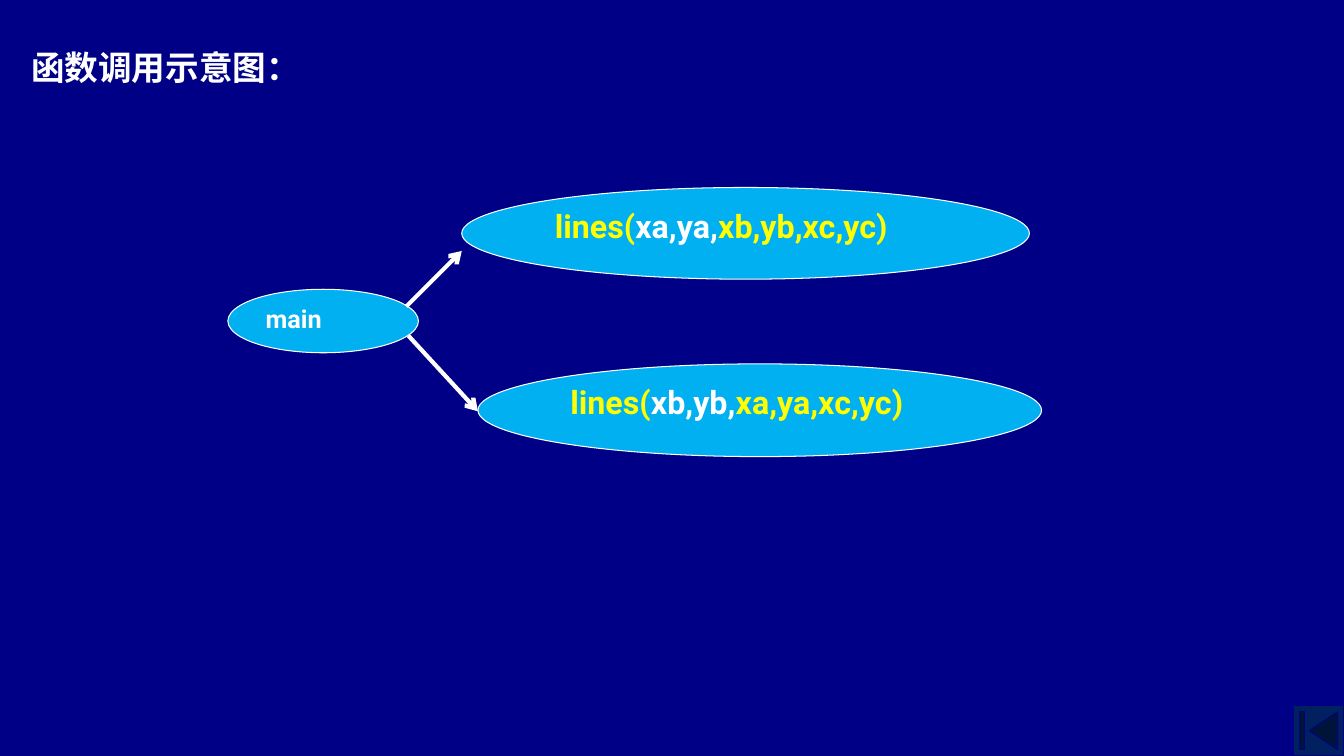
from pptx import Presentation, util as u
from pptx.dml.color import RGBColor
from pptx.enum import shapes, text
from pptx.oxml.ns import qn
from lxml import etree

WHITE, YELLOW, NAVY, SKY = "FFFFFF", "FFFF00", "000086", "00B0F0"


def paint(fmt, color):
    fmt.solid()
    fmt.fore_color.rgb = RGBColor.from_string(color)


def write(tf, runs, size):
    p = tf.paragraphs[0]
    p.alignment = text.PP_ALIGN.LEFT
    for words, color in runs:
        r = p.add_run()
        r.text = words
        for name, value in {"name": "Roboto", "size": u.Pt(size), "bold": True}.items():
            setattr(r.font, name, value)
        paint(r.font.fill, color)
    return p


prs = Presentation()
prs.slide_width, prs.slide_height = u.Inches(13.33), u.Inches(7.5)
s = prs.slides.add_slide(prs.slide_layouts[6])
paint(s.background.fill, NAVY)

button = shapes.MSO_SHAPE.ACTION_BUTTON_BEGINNING
oval = shapes.MSO_SHAPE.OVAL
nodes = [
    (button, (12.83, 7, 0.5, 0.5), "002060", NAVY, [], 18),
    (oval, (2.26, 2.87, 1.89, 0.63), SKY, WHITE, [("main", WHITE)], 18),
    (oval, (4.58, 1.86, 5.63, 0.91), SKY, WHITE,
     [("lines(", YELLOW), ("xa,ya,", WHITE), ("xb,yb,xc,yc)", YELLOW)], 23),
    (oval, (4.74, 3.61, 5.59, 0.92), SKY, WHITE,
     [("lines(", YELLOW), ("xb,yb,", WHITE), ("xa,ya,xc,yc)", YELLOW)], 23),
]
for kind, box, fill, line, runs, size in nodes:
    sp = s.shapes.add_shape(kind, *map(u.Inches, box))
    sp.shadow.inherit = False
    paint(sp.fill, fill)
    paint(sp.line.fill, line)
    sp.line.width = u.Pt(0.75)
    if runs:
        tf = sp.text_frame
        tf.word_wrap = True
        tf.vertical_anchor = text.MSO_ANCHOR.TOP
        pPr = write(tf, runs, size)._p.get_or_add_pPr()
        pPr.set("marL", str(u.Inches(0.38)))
        pPr.set("indent", str(-u.Inches(0.38)))

for ends in [(4.03, 3.04, 4.58, 2.49), (4.05, 3.33, 4.74, 4.08)]:
    arrow = s.shapes.add_connector(shapes.MSO_CONNECTOR.STRAIGHT, *map(u.Inches, ends))
    paint(arrow.line.fill, WHITE)
    arrow.line.width = u.Pt(3)
    etree.SubElement(arrow.line._get_or_add_ln(), qn("a:tailEnd"), type="arrow")
    etree.SubElement(arrow._element.spPr, qn("a:effectLst"))

title = s.shapes.add_textbox(*map(u.Inches, (0.21, 0.42, 2.99, 0.51)))
tf = title.text_frame
tf.word_wrap = True
tf.auto_size = text.MSO_AUTO_SIZE.SHAPE_TO_FIT_TEXT
write(tf, [("函数调用示意图：", WHITE)], 24)

prs.save("out.pptx")
